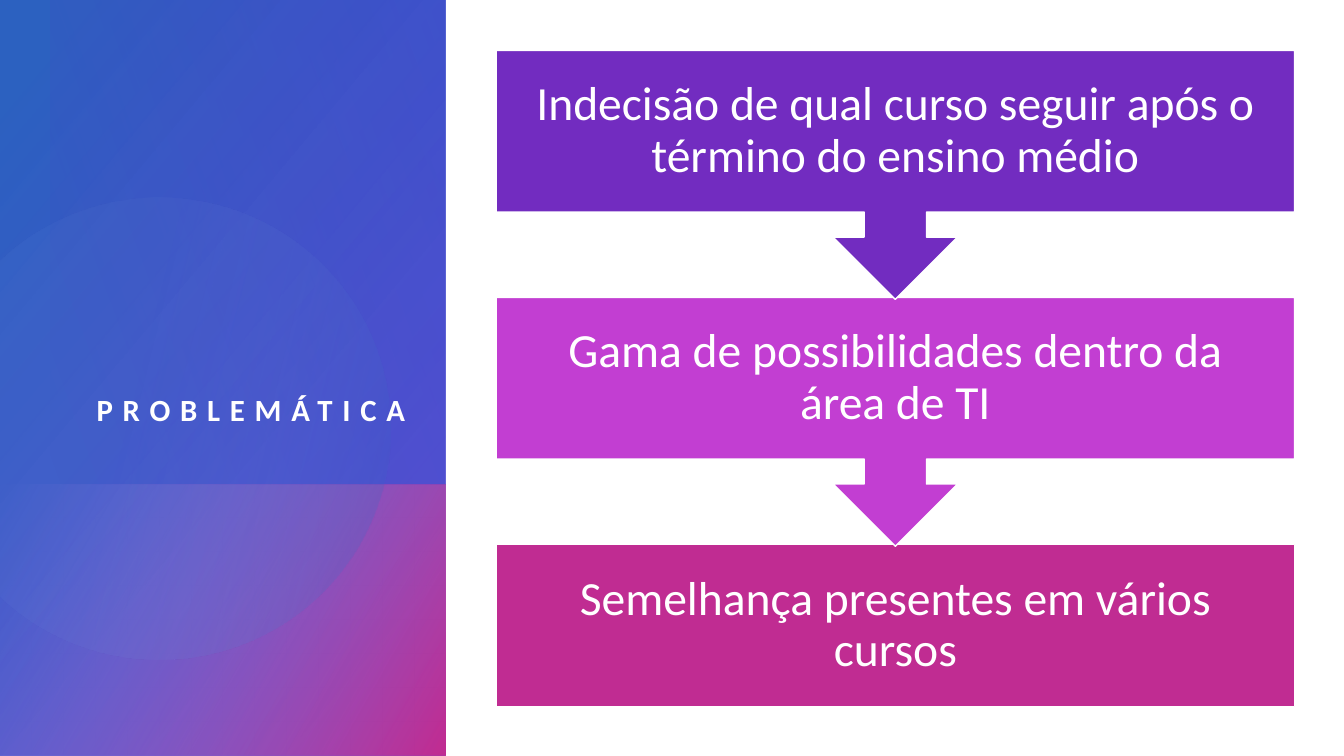
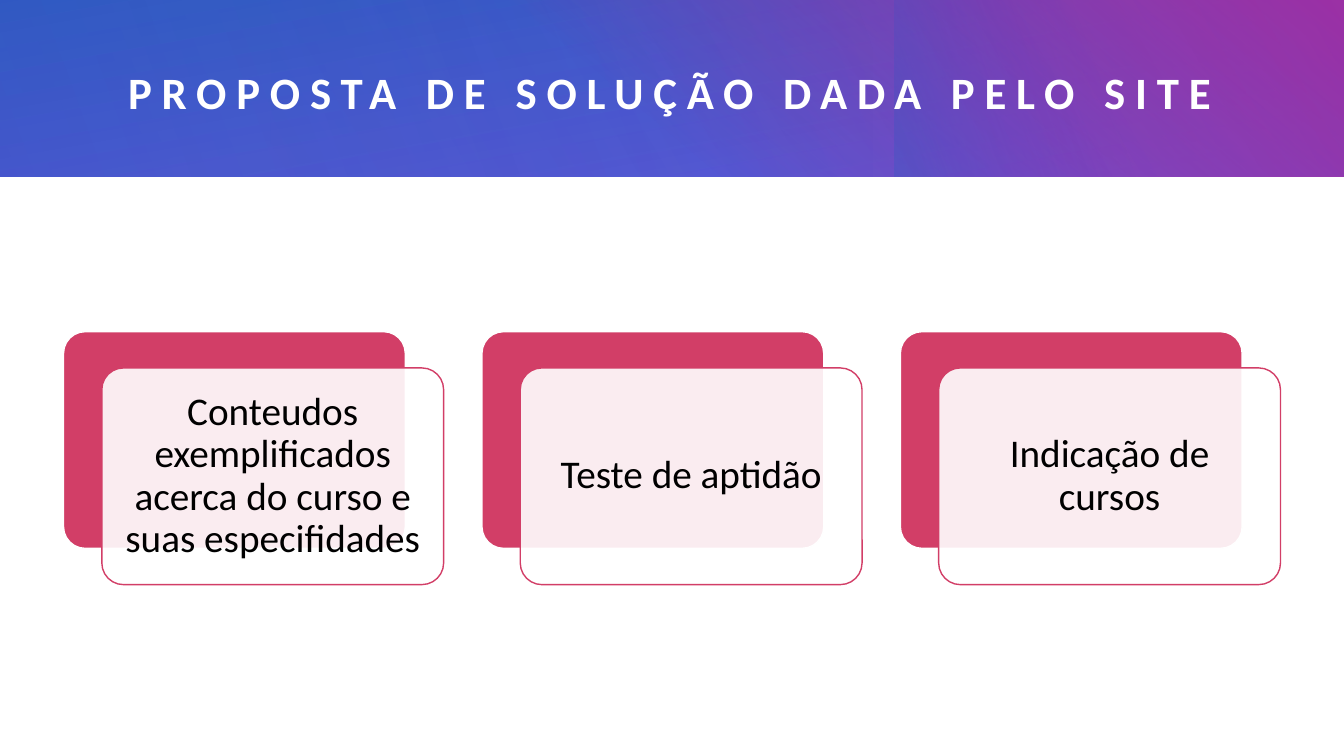
"""Build two slides: the problem as a chain of steps, and the proposed solution as cards."""
from math import acos, cos, sin

from pptx import Presentation
from pptx import util as u
from pptx.dml.color import RGBColor
from pptx.enum import shapes, text
from pptx.oxml.ns import qn
from pptx.oxml.xmlchemy import OxmlElement

PX = 9144
WIDTH, HEIGHT = 1333, 750
FONT = "Calibri"

WHITE = RGBColor(0xFF, 0xFF, 0xFF)
BLACK = RGBColor(0x00, 0x00, 0x00)
BLUE = RGBColor(0x2C, 0x61, 0xC0)
PALE_BLUE = RGBColor(0x79, 0x9E, 0xE0)
INDIGO = RGBColor(0x47, 0x3E, 0xD2)
LAVENDER = RGBColor(0x91, 0x8B, 0xE4)
PURPLE = RGBColor(0x72, 0x2C, 0xC0)
ORCHID = RGBColor(0xC2, 0x3E, 0xD2)
MAGENTA = RGBColor(0xC0, 0x2C, 0x92)
ROSE = RGBColor(0xD2, 0x3E, 0x67)

KIND = shapes.MSO_SHAPE
ALIGN = text.PP_ALIGN
ANCHOR = text.MSO_ANCHOR

PANEL_WIDTH = 442
BAND_HEIGHT = 175

# Each layer: box, gradient stops (position %, colour, opacity %), clockwise angle.
PANEL_LAYERS = [
    ((0, 0, PANEL_WIDTH, HEIGHT), [(8, BLUE, 100), (100, INDIGO, 89)], 40),
    ((0, 481, PANEL_WIDTH, 269), [(0, LAVENDER, 0), (99, MAGENTA, 100)], 30),
]
DISC = (158, 425, 229)
DISC_STOPS, DISC_ANGLE = [(36, PALE_BLUE, 6), (100, BLUE, 26)], 14
PANEL_VEIL = ((50, 0, 392, 481), [(0, INDIGO, 29), (100, PURPLE, 0)], 160)
BAND_LAYERS = [
    ((0, 0, WIDTH, BAND_HEIGHT), [(0, INDIGO, 83), (100, BLUE, 100)], 260),
    ((481, 0, 852, BAND_HEIGHT), [(22, MAGENTA, 0), (99, MAGENTA, 100)], 310),
    ((887, 0, 374, BAND_HEIGHT), [(45, PURPLE, 0), (99, BLUE, 33)], 160),
    ((268, 0, 1065, BAND_HEIGHT), [(0, INDIGO, 30), (99, INDIGO, 0)], 150),
    ((0, 0, 865, BAND_HEIGHT), [(0, INDIGO, 21), (99, INDIGO, 0)], 340),
]

PROBLEM_TITLE = "PROBLEMÁTICA"
PROBLEMS = [
    ("Indecisão de qual curso seguir após o término do ensino médio", PURPLE),
    ("Gama de possibilidades dentro da área de TI", ORCHID),
    ("Semelhança presentes em vários cursos", MAGENTA),
]
STEP_LEFT, STEP_TOP, STEP_WIDTH, STEP_PITCH = 492, 50, 792, 245
STEP_HEIGHT, CALLOUT_HEIGHT = 161, 247

SOLUTION_TITLE = "PROPOSTA DE SOLUÇÃO DADA PELO SITE"
SOLUTIONS = [
    "Conteudos exemplificados acerca do curso e suas especifidades",
    "Teste de aptidão",
    "Indicação de cursos",
]
CARD_LEFT, CARD_TOP, CARD_WIDTH, CARD_HEIGHT, CARD_PITCH = 63, 329, 339, 215, 415
CARD_SHIFT = (38, 36)


def emu(lengths):
    return [int(length * PX) for length in lengths]


def set_opacity(shape, opacities):
    colours = shape._element.spPr.iter(qn("a:srgbClr"))
    for colour, opacity in zip(list(colours), opacities):
        if opacity < 100:
            alpha = OxmlElement("a:alpha")
            alpha.set("val", str(opacity * 1000))
            colour.append(alpha)


def paint_gradient(shape, stops, angle):
    shape.shadow.inherit = False
    shape.fill.gradient()
    shape.fill.gradient_angle = 360 - angle
    for stop, (position, colour, _) in zip(shape.fill.gradient_stops, stops):
        stop.position = position / 100
        stop.color.rgb = colour
    set_opacity(shape, [opacity for _, _, opacity in stops])
    shape.line.fill.background()


def add_layer(page, box, stops, angle):
    paint_gradient(page.shapes.add_shape(KIND.RECTANGLE, *emu(box)), stops, angle)


def add_disc(page):
    centre_x, centre_y, radius = DISC
    limit = acos(-centre_x / radius)
    turns = [limit * step / 60 for step in range(-60, 61)]
    points = [(centre_x + radius * cos(turn), centre_y + radius * sin(turn)) for turn in turns]
    builder = page.shapes.build_freeform(*emu(points[0]), scale=1.0)
    builder.add_line_segments([emu(point) for point in points[1:]], close=True)
    paint_gradient(builder.convert_to_shape(), DISC_STOPS, DISC_ANGLE)


def add_block(page, kind, box, fill, line, opacity=100):
    shape = page.shapes.add_shape(kind, *emu(box))
    shape.shadow.inherit = False
    shape.fill.solid()
    shape.fill.fore_color.rgb = fill
    set_opacity(shape, [opacity])
    shape.line.color.rgb = line
    shape.line.width = u.Pt(1)
    return shape


def write(shape, words, size, colour, inset=0, align=ALIGN.CENTER,
          anchor=ANCHOR.MIDDLE, bold=False):
    frame = shape.text_frame
    sides = ("left", "top", "right", "bottom")
    margins = {f"margin_{side}": inset * PX for side in sides}
    for name, value in {"word_wrap": True, "vertical_anchor": anchor, **margins}.items():
        setattr(frame, name, value)
    para = frame.paragraphs[0]
    para.alignment, para.line_spacing = align, 0.9
    span = para.add_run()
    span.text = words
    for name, value in {"name": FONT, "size": u.Pt(size), "bold": bold}.items():
        setattr(span.font, name, value)
    span.font.color.rgb = colour
    return span


def add_title(page, box, words, size, align, anchor):
    title = page.shapes.add_textbox(*emu(box))
    span = write(title, words, size, WHITE, align=align, anchor=anchor, bold=True)
    span.font._element.set("spc", "700")


def build_problem(page):
    for layer in PANEL_LAYERS:
        add_layer(page, *layer)
    add_disc(page)
    add_layer(page, *PANEL_VEIL)
    add_title(page, (31, 57, 371, 368), PROBLEM_TITLE, 22, ALIGN.RIGHT, ANCHOR.BOTTOM)
    last = len(PROBLEMS) - 1
    for index, (words, colour) in reversed(list(enumerate(PROBLEMS))):
        kind, height = KIND.DOWN_ARROW_CALLOUT, CALLOUT_HEIGHT
        if index == last:
            kind, height = KIND.RECTANGLE, STEP_HEIGHT
        box = (STEP_LEFT, STEP_TOP + index * STEP_PITCH, STEP_WIDTH, height)
        write(add_block(page, kind, box, colour, WHITE), words, 34, WHITE, inset=26)


def build_solution(page):
    for layer in BAND_LAYERS:
        add_layer(page, *layer)
    add_title(page, (127, 41, 1135, 106), SOLUTION_TITLE, 32, ALIGN.LEFT, ANCHOR.MIDDLE)
    for index, words in enumerate(SOLUTIONS):
        left = CARD_LEFT + index * CARD_PITCH
        back_box = (left, CARD_TOP, CARD_WIDTH, CARD_HEIGHT)
        front_box = (left + CARD_SHIFT[0], CARD_TOP + CARD_SHIFT[1], CARD_WIDTH, CARD_HEIGHT)
        back = add_block(page, KIND.ROUNDED_RECTANGLE, back_box, ROSE, WHITE)
        front = add_block(page, KIND.ROUNDED_RECTANGLE, front_box, WHITE, ROSE, opacity=90)
        for card in (back, front):
            card.adjustments[0] = 0.1
        write(front, words, 28, BLACK, inset=12)


def main():
    deck = Presentation()
    deck.slide_width, deck.slide_height = emu((WIDTH, HEIGHT))
    for build in (build_problem, build_solution):
        build(deck.slides.add_slide(deck.slide_layouts[6]))
    deck.save("out.pptx")


if __name__ == "__main__":
    main()
